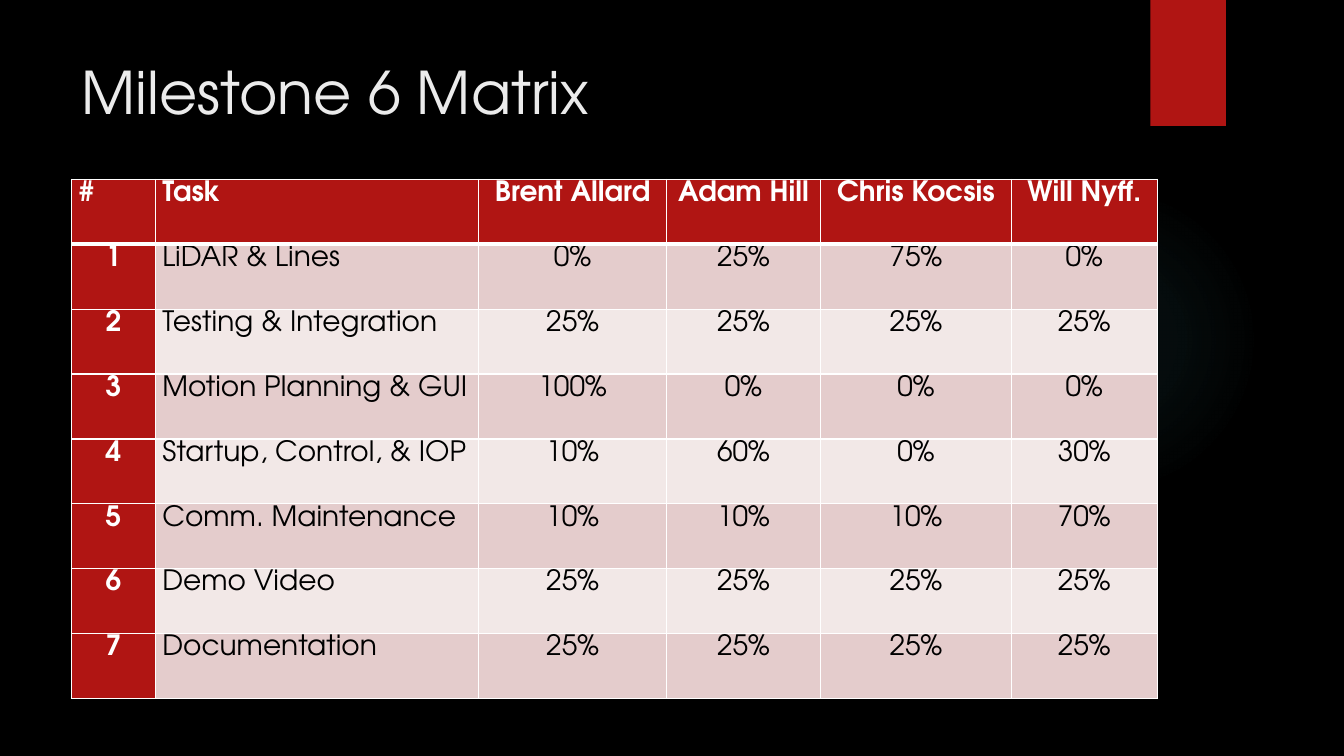
from lxml import etree
from pptx import Presentation
from pptx.dml.color import RGBColor
from pptx.enum.shapes import MSO_SHAPE as Shape
from pptx.enum.text import MSO_ANCHOR as Anchor, PP_ALIGN as Align
from pptx.oxml import parse_xml
from pptx.oxml.ns import nsdecls, qn
from pptx.util import Inches, Pt

FONT = "TeX Gyre Adventor"
COLORS = {
    "background": "000000",
    "red": "B01513",
    "title": "EBEBEB",
    "white": "FFFFFF",
    "black": "000000",
    "odd": "E4CCCC",
    "even": "F2E8E7",
    "glow": "50B9C1",
}
GLOW_STOPS = [(0, 7), (36, 6), (69, 0)]  # position and opacity, percent

COLUMN_SHARES = [0.83, 3.21, 1.86, 1.53, 1.89, 1.45]
HEADER = ["#", "Task", "Brent Allard", "Adam Hill", "Chris Kocsis", "Will Nyff."]
TASKS = [
    ("LiDAR & Lines", 0, 25, 75, 0),
    ("Testing & Integration", 25, 25, 25, 25),
    ("Motion Planning & GUI", 100, 0, 0, 0),
    ("Startup, Control, & IOP", 10, 60, 0, 30),
    ("Comm. Maintenance", 10, 10, 10, 70),
    ("Demo Video", 25, 25, 25, 25),
    ("Documentation", 25, 25, 25, 25),
]


def rgb(name):
    return RGBColor.from_string(COLORS[name])


def style_text(p, size, color, bold=False):
    for r in p.runs:
        r.font.name = FONT
        r.font.size = Pt(size)
        r.font.bold = bold
        r.font.color.rgb = rgb(color)


def add_plain_shape(slide, kind, box):
    sp = slide.shapes.add_shape(kind, *map(Inches, box))
    sp.shadow.inherit = False
    sp.line.fill.background()
    return sp


def add_glow(slide, box):
    sp = add_plain_shape(slide, Shape.OVAL, box)
    sp.fill.background()
    stops = "".join(
        f'<a:gs pos="{pos * 1000}"><a:srgbClr val="{COLORS["glow"]}">'
        f'<a:alpha val="{alpha * 1000}"/></a:srgbClr></a:gs>'
        for pos, alpha in GLOW_STOPS
    )
    gradient = parse_xml(
        f'<a:gradFill {nsdecls("a")}><a:gsLst>{stops}</a:gsLst><a:path path="circle">'
        '<a:fillToRect l="50000" t="50000" r="50000" b="50000"/></a:path></a:gradFill>'
    )
    spPr = sp._element.spPr
    spPr.replace(spPr.find(qn("a:noFill")), gradient)


def add_ribbon(slide, box):
    sp = add_plain_shape(slide, Shape.RECTANGLE, box)
    sp.fill.solid()
    sp.fill.fore_color.rgb = rgb("red")


def add_title(slide, box, text):
    tf = slide.shapes.add_textbox(*map(Inches, box)).text_frame
    tf.word_wrap = True
    tf.vertical_anchor = Anchor.TOP
    tf.text = text
    style_text(tf.paragraphs[0], 42, "title")


def set_borders(cell, top, bottom):
    tcPr = cell._tc.get_or_add_tcPr()
    for side, width in (("L", 1), ("R", 1), ("T", top), ("B", bottom)):
        ln = etree.SubElement(tcPr, qn(f"a:ln{side}"), w=str(Pt(width)))
        fill = etree.SubElement(ln, qn("a:solidFill"))
        etree.SubElement(fill, qn("a:srgbClr"), val=COLORS["white"])


def fill_cell(cell, text, row, col):
    is_label = row == 0 or col == 0
    set_borders(cell, top=3 if row == 1 else 1, bottom=3 if row == 0 else 1)
    cell.fill.solid()
    cell.fill.fore_color.rgb = rgb("red" if is_label else "odd" if row % 2 else "even")
    cell.margin_left = cell.margin_right = Inches(0.07)
    cell.margin_top = cell.margin_bottom = 0
    cell.text = text
    p = cell.text_frame.paragraphs[0]
    p.line_spacing = 1.06
    is_left = col == 1 or (row == 0 and col == 0)
    p.alignment = Align.LEFT if is_left else Align.CENTER
    style_text(p, 20, "white" if is_label else "black", bold=is_label)


def add_matrix(slide, box):
    rows = [HEADER] + [
        [str(number), task] + [f"{share}%" for share in shares]
        for number, (task, *shares) in enumerate(TASKS, 1)
    ]
    frame = slide.shapes.add_table(len(rows), len(HEADER), *map(Inches, box))
    table = frame.table
    width, height = box[2:]
    for column, share in zip(table.columns, COLUMN_SHARES):
        column.width = Inches(width * share / sum(COLUMN_SHARES))
    for i, texts in enumerate(rows):
        table.rows[i].height = Inches(height / len(rows))
        for j, text in enumerate(texts):
            fill_cell(table.cell(i, j), text, i, j)


def main():
    prs = Presentation()
    prs.slide_width, prs.slide_height = Inches(13.33), Inches(7.5)
    slide = prs.slides.add_slide(prs.slide_layouts[6])
    slide.background.fill.solid()
    slide.background.fill.fore_color.rgb = rgb("background")

    # Backdrop
    add_glow(slide, (9.41, 1.83, 3.08, 3.08))
    add_ribbon(slide, (11.41, 0, 0.75, 1.25))

    # Title and task matrix share a left edge
    left = 0.71
    add_title(slide, (left, 0.5, 10.29, 1.12), "Milestone 6 Matrix")
    add_matrix(slide, (left, 1.78, 10.77, 5.15))

    prs.save("out.pptx")


if __name__ == "__main__":
    main()
